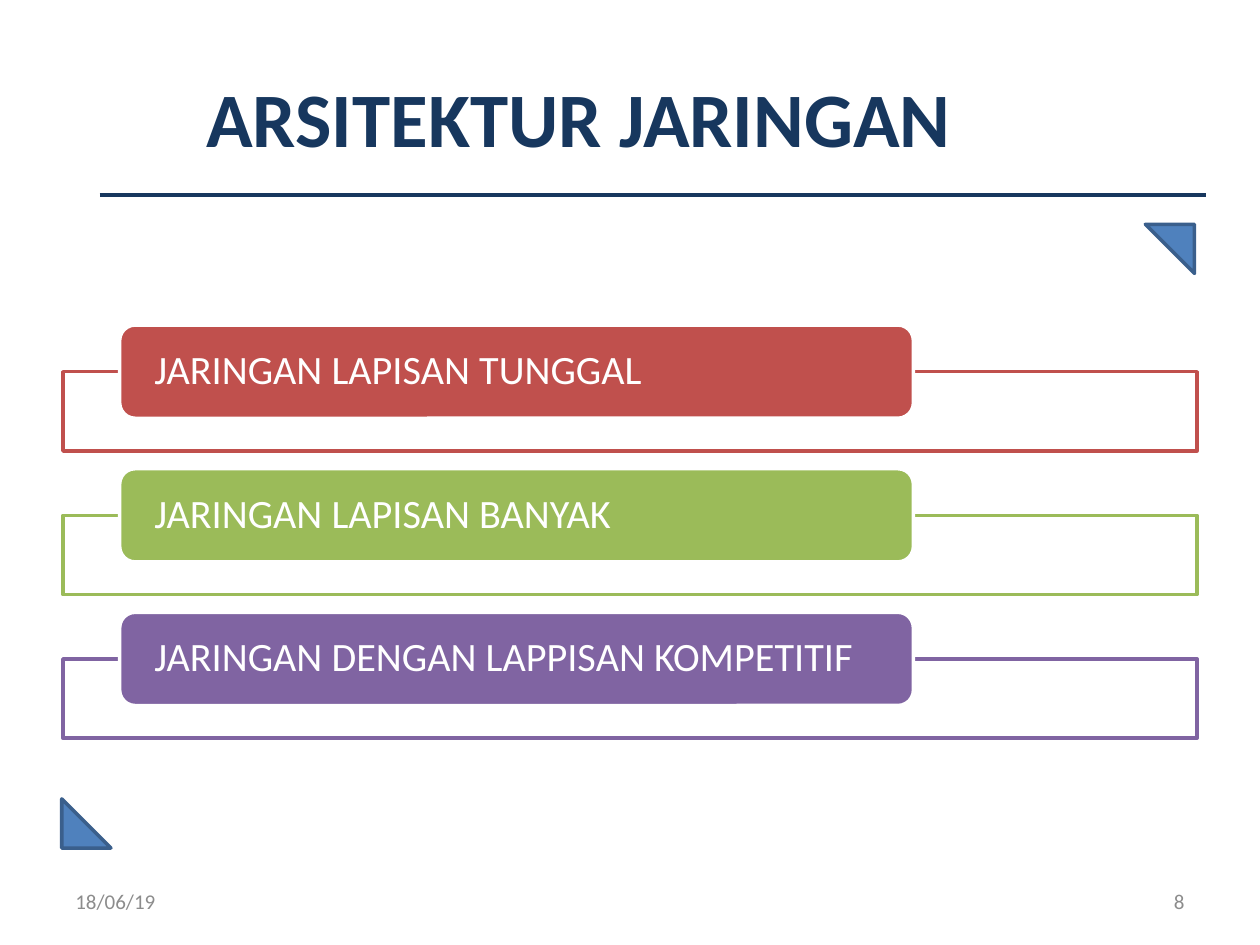
from dataclasses import dataclass

from lxml import etree
from pptx import Presentation
from pptx import util as u
from pptx.dml.color import RGBColor
from pptx.enum import shapes, text
from pptx.oxml.ns import qn

WIDTH, HEIGHT = 10, 7.5
MARGIN = 0.05 * WIDTH
CONTENT = WIDTH - 2 * MARGIN
FONT = "Calibri"

NAVY = RGBColor(0x17, 0x37, 0x5E)
BLUE = RGBColor(0x4F, 0x81, 0xBD)
DARK_BLUE = RGBColor(0x3A, 0x5F, 0x8C)
RED = RGBColor(0xC0, 0x50, 0x4D)
GREEN = RGBColor(0x9B, 0xBB, 0x59)
PURPLE = RGBColor(0x80, 0x64, 0xA2)
GREY = RGBColor(0x8C, 0x8C, 0x8C)
WHITE = RGBColor(0xFF, 0xFF, 0xFF)

FIRST_ROW, ROW_PITCH = 2.58, 1.14
LABEL_HEIGHT, FRAME_HEIGHT = 0.74, 0.63


@dataclass(frozen=True)
class Box:
    left: float
    top: float
    width: float
    height: float

    def emu(self) -> list[u.Length]:
        return [u.Inches(v) for v in (self.left, self.top, self.width, self.height)]


@dataclass(frozen=True)
class Layer:
    name: str
    color: RGBColor


LAYERS = (
    Layer("JARINGAN LAPISAN TUNGGAL", RED),
    Layer("JARINGAN LAPISAN BANYAK", GREEN),
    Layer("JARINGAN DENGAN LAPPISAN KOMPETITIF", PURPLE),
)


def add_shape(s, kind, box: Box, fill: RGBColor, line: RGBColor):
    sp = s.shapes.add_shape(kind, *box.emu())
    sp.shadow.inherit = False
    sp.fill.solid()
    sp.fill.fore_color.rgb = fill
    sp.line.color.rgb = line
    sp.line.width = u.Pt(2)
    return sp


def write(sp, words: str, size: float, color: RGBColor, bold: bool = False,
          align=text.PP_ALIGN.LEFT):
    """Put one vertically centred paragraph into a shape and return it."""
    tf = sp.text_frame
    tf.word_wrap = True
    tf.vertical_anchor = text.MSO_ANCHOR.MIDDLE
    p = tf.paragraphs[0]
    p.text = words
    p.alignment = align
    font = p.runs[0].font
    font.name, font.size, font.bold = FONT, u.Pt(size), bold
    font.color.rgb = color
    return p


def add_text(s, box: Box, words: str, size: float, color: RGBColor, **style) -> None:
    write(s.shapes.add_textbox(*box.emu()), words, size, color, **style)


def add_rule(s, left: float, right: float, y: float) -> None:
    line = s.shapes.add_connector(
        shapes.MSO_CONNECTOR.STRAIGHT,
        u.Inches(left), u.Inches(y), u.Inches(right), u.Inches(y))
    line.line.color.rgb = NAVY
    line.line.width = u.Pt(2.25)
    etree.SubElement(line._element.spPr, qn("a:effectLst"))


def add_corner(s, left: float, top: float, rotation: float = 0) -> None:
    sp = add_shape(s, shapes.MSO_SHAPE.RIGHT_TRIANGLE,
                   Box(left, top, 0.39, 0.39), BLUE, DARK_BLUE)
    sp.rotation = rotation


def add_layer(s, row: int, layer: Layer) -> None:
    """Draw a translucent frame with its label straddling the top edge."""
    top = FIRST_ROW + row * ROW_PITCH
    frame = add_shape(s, shapes.MSO_SHAPE.RECTANGLE,
                      Box(MARGIN, top + LABEL_HEIGHT / 2, CONTENT, FRAME_HEIGHT),
                      WHITE, layer.color)
    fill_color = frame._element.spPr.find(qn("a:solidFill"))[0]
    etree.SubElement(fill_color, qn("a:alpha"), val="90000")

    label = add_shape(s, shapes.MSO_SHAPE.ROUNDED_RECTANGLE,
                      Box(MARGIN * 1.9, top, CONTENT * 0.7, LABEL_HEIGHT),
                      layer.color, WHITE)
    p = write(label, layer.name, 23, WHITE)
    p.line_spacing = 0.9
    tf = label.text_frame
    tf.margin_left = tf.margin_right = u.Inches(0.24)
    tf.margin_top = tf.margin_bottom = 0


def main() -> None:
    prs = Presentation()
    prs.slide_width, prs.slide_height = u.Inches(WIDTH), u.Inches(HEIGHT)
    s = prs.slides.add_slide(prs.slide_layouts[6])

    add_rule(s, 0.79, 9.57, 1.55)
    add_corner(s, 0.49, 6.34)
    add_corner(s, 9.09, 1.78, rotation=180)
    add_text(s, Box(1.54, 0.3, 7.96, 1.25), "ARSITEKTUR JARINGAN", 44, NAVY, bold=True)

    for row, layer in enumerate(LAYERS):
        add_layer(s, row, layer)

    footer = Box(MARGIN, 6.95, 2.33, 0.4)
    number = Box(WIDTH - MARGIN - footer.width, footer.top, footer.width, footer.height)
    add_text(s, footer, "18/06/19", 12, GREY)
    add_text(s, number, "8", 12, GREY, align=text.PP_ALIGN.RIGHT)

    prs.save("out.pptx")


if __name__ == "__main__":
    main()
